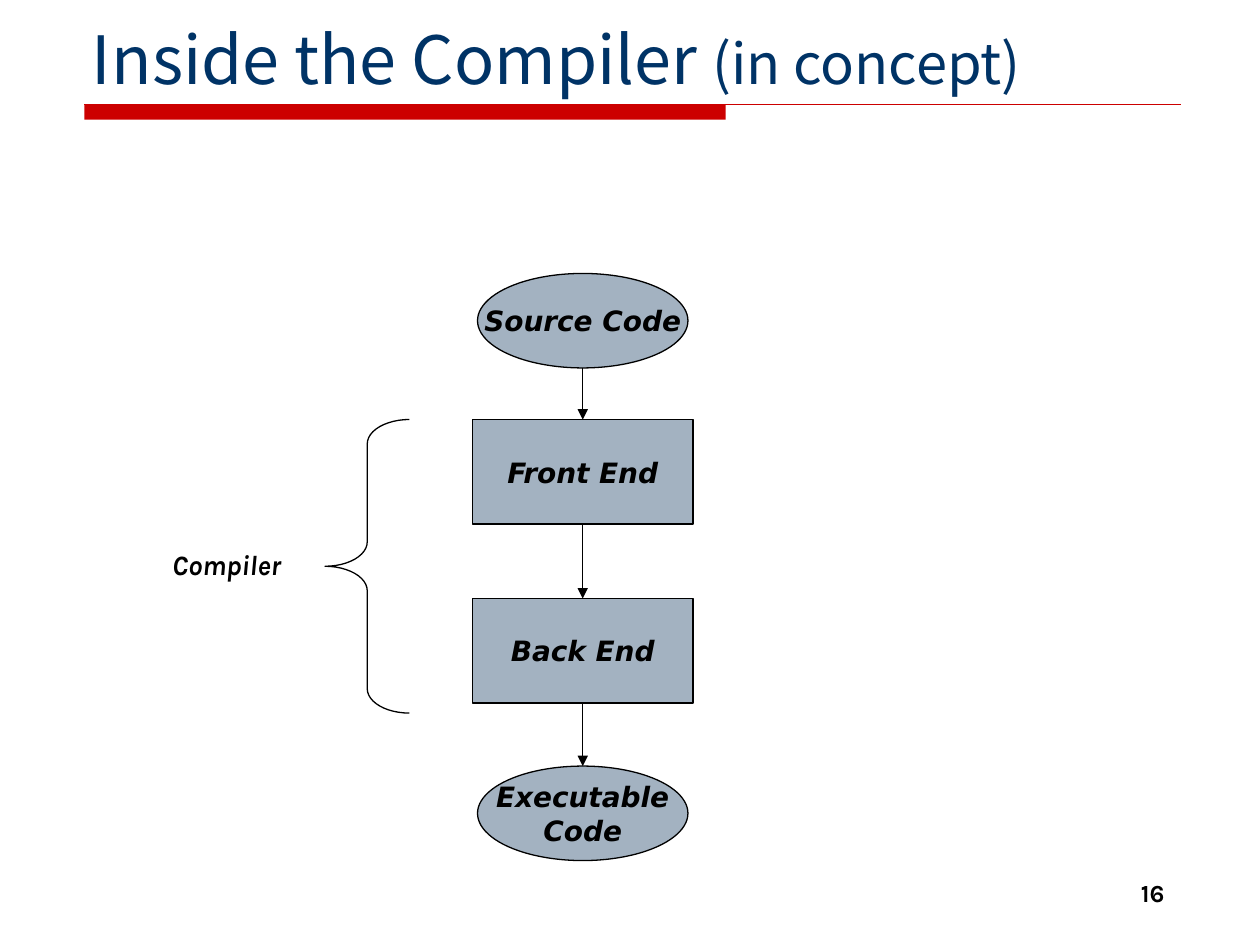
"""Build the slide showing the stages inside a compiler."""
import lxml.etree
import pptx
import pptx.dml.color
import pptx.enum.shapes
import pptx.enum.text
import pptx.oxml.ns
import pptx.util

Inches = pptx.util.Inches
Pt = pptx.util.Pt
Shape = pptx.enum.shapes.MSO_SHAPE
Connector = pptx.enum.shapes.MSO_CONNECTOR
Align = pptx.enum.text.PP_ALIGN
Anchor = pptx.enum.text.MSO_ANCHOR
AutoSize = pptx.enum.text.MSO_AUTO_SIZE
qn = pptx.oxml.ns.qn
Color = pptx.dml.color.RGBColor.from_string

theme = {
    "accent": Color("CC0000"),
    "node": Color("A3B2C1"),
    "ink": Color("000000"),
    "line": Pt(0.75),
    "title": {"name": "Noto Sans CJK SC", "size": Pt(38), "color": Color("003366")},
    "subtitle": {"name": "Noto Sans CJK SC", "size": Pt(32), "color": Color("003366")},
    "stage": {"name": "DejaVu Sans", "size": Pt(16), "bold": True, "italic": True, "color": Color("000000")},
    "label": {"name": "Karla", "size": Pt(16), "bold": True, "italic": True, "color": Color("000000")},
    "number": {"name": "Karla", "size": Pt(14), "bold": True, "color": Color("000000")},
}


def style_text(span, style):
    for key, value in theme[style].items():
        if key == "color":
            span.font.color.rgb = value
        else:
            setattr(span.font, key, value)


def add_line(start, end, color, arrow=False):
    line = page.shapes.add_connector(Connector.STRAIGHT, *map(Inches, start + end))
    line.line.color.rgb = color
    line.line.width = theme["line"]
    properties = line.line._get_or_add_ln()
    if arrow:
        lxml.etree.SubElement(properties, qn("a:tailEnd"), type="triangle")
    lxml.etree.SubElement(properties.getparent(), qn("a:effectLst"))
    return line


deck = pptx.Presentation()
deck.slide_width, deck.slide_height = Inches(10), Inches(7.5)
page = deck.slides.add_slide(deck.slide_layouts[5])

bar = page.shapes.add_shape(Shape.RECTANGLE, Inches(0.67), Inches(0.83), Inches(5.09), Inches(0.12))
bar.shadow.inherit = False
bar.fill.solid()
bar.fill.fore_color.rgb = theme["accent"]
bar.line.fill.background()
add_line((0.67, 0.83), (9.37, 0.83), theme["accent"])

title = page.shapes.title
title_format = {"left": Inches(0.63), "top": Inches(0.08), "width": Inches(8.75), "height": Inches(0.75)}
for key, value in title_format.items():
    setattr(title, key, value)
for key, value in {"vertical_anchor": Anchor.BOTTOM, "auto_size": AutoSize.NONE, "word_wrap": True}.items():
    setattr(title.text_frame, key, value)
para = title.text_frame.paragraphs[0]
para.alignment = Align.LEFT
for text, style in (("Inside the Compiler ", "title"), ("(in concept)", "subtitle")):
    span = para.add_run()
    span.text = text
    style_text(span, style)

center = 4.625
sizes = {Shape.OVAL: (1.67, 0.75), Shape.RECTANGLE: (1.75, 0.83)}
stages = (
    ("Source Code", Shape.OVAL, 2.17),
    ("Front End", Shape.RECTANGLE, 3.33),
    ("Back End", Shape.RECTANGLE, 4.75),
    ("Executable\vCode", Shape.OVAL, 6.08),
)
nodes = []
for text, kind, top in stages:
    width, height = sizes[kind]
    node = page.shapes.add_shape(kind, Inches(center - width / 2), Inches(top), Inches(width), Inches(height))
    node.shadow.inherit = False
    node.fill.solid()
    node.fill.fore_color.rgb = theme["node"]
    node.line.color.rgb = theme["ink"]
    node.line.width = theme["line"]
    node.text_frame.word_wrap = False
    node.text_frame.vertical_anchor = Anchor.MIDDLE
    para = node.text_frame.paragraphs[0]
    para.text = text
    para.alignment = Align.CENTER
    for span in para.runs:
        style_text(span, "stage")
    nodes.append((node, kind, top, top + height))

for (source, source_kind, _, bottom), (target, target_kind, top, _) in zip(nodes, nodes[1:]):
    arrow = add_line((center, bottom), (center, top), theme["ink"], arrow=True)
    if source_kind == Shape.RECTANGLE:
        arrow.begin_connect(source, 2)
    if target_kind == Shape.RECTANGLE:
        arrow.end_connect(target, 0)

brace = page.shapes.add_shape(Shape.LEFT_BRACE, Inches(2.58), Inches(3.33), Inches(0.67), Inches(2.33))
brace.shadow.inherit = False
brace.adjustments[0] = 0.29
brace.fill.background()
brace.line.color.rgb = theme["ink"]
brace.line.width = theme["line"]

captions = (
    ("Compiler", "label", (1, 4.3, 1.33, 0.37)),
    ("16", "number", (7.17, 6.92, 2.17, 0.52)),
)
for text, style, place in captions:
    box = page.shapes.add_textbox(*map(Inches, place))
    box.text_frame.word_wrap = True
    para = box.text_frame.paragraphs[0]
    para.text = text
    para.alignment = Align.RIGHT
    style_text(para.runs[0], style)

deck.save("out.pptx")
